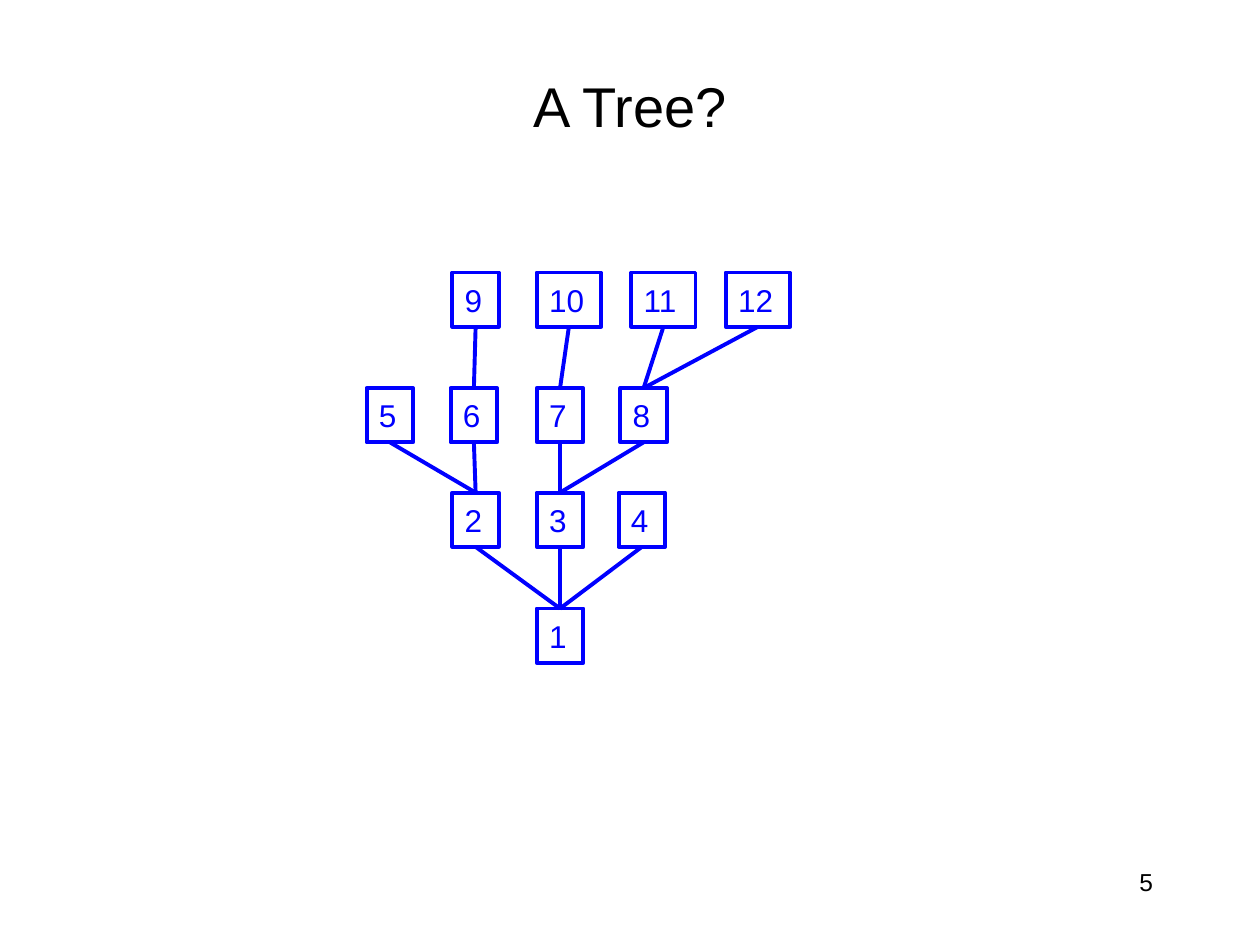
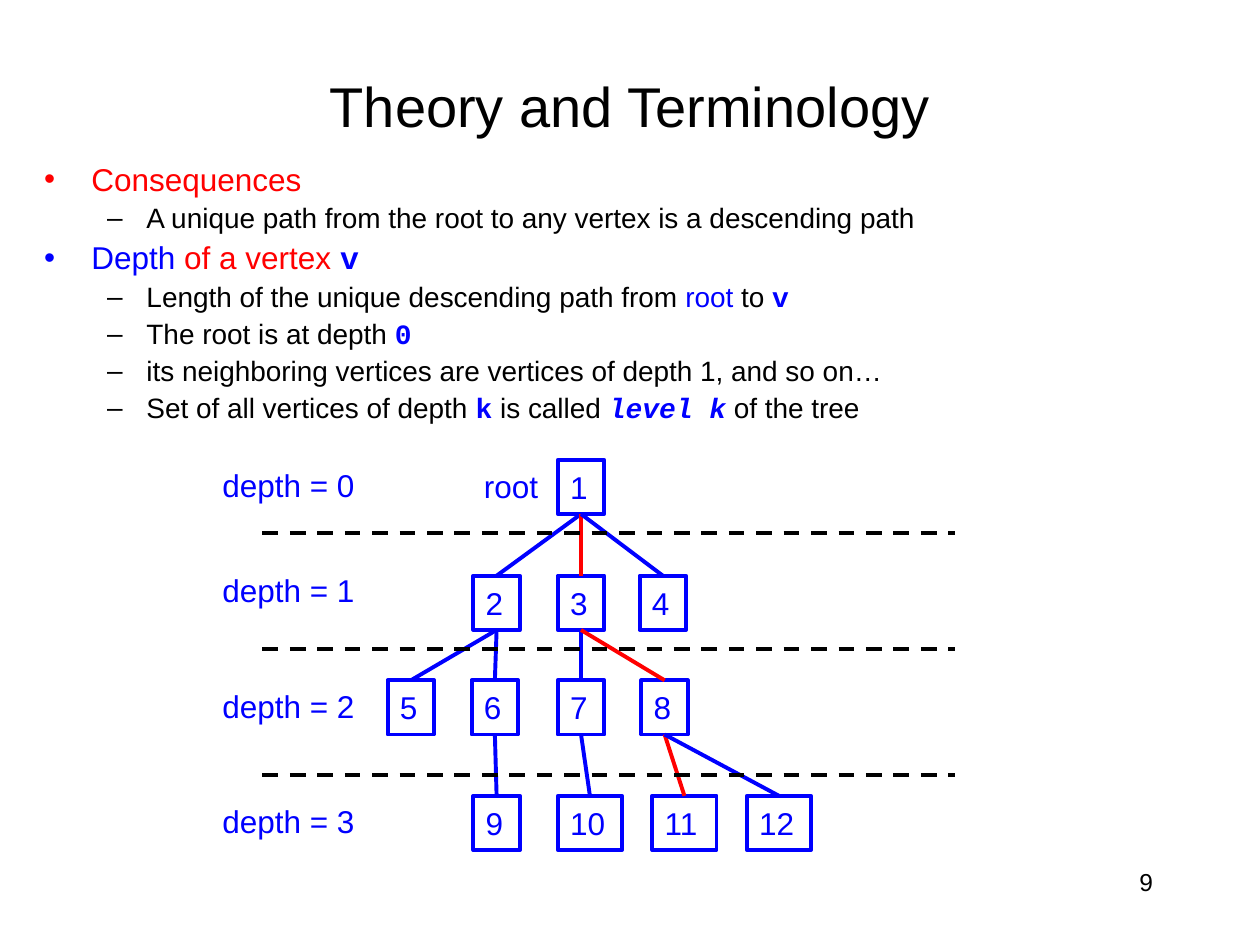
from pptx import Presentation
from pptx.dml.color import RGBColor
from pptx.enum.dml import MSO_LINE
from pptx.enum.shapes import MSO_CONNECTOR, MSO_SHAPE
from pptx.enum.text import MSO_ANCHOR, MSO_AUTO_SIZE, PP_ALIGN
from pptx.oxml.ns import qn
from pptx.util import Pt
from lxml.etree import SubElement

BLACK = RGBColor(0, 0, 0)
BLUE = RGBColor(0, 0, 255)
RED = RGBColor(255, 0, 0)
SANS = "Arial"
CODE = "Courier New"
TITLE_AND_CONTENT, TITLE_ONLY = 1, 5
LINE_WIDTH = 2.25
NODE_HEIGHT = 31
LEVEL_OFFSETS = [0, 66.25, 126, 192]
TREE_LEVELS = [
    {1: 0},
    {2: -48.25, 3: 0, 4: 46.75},
    {5: -97.25, 6: -49.25, 7: 0, 8: 47.75},
    {9: -48.25, 10: 0, 11: 54, 12: 108},
]
PARENTS = {2: 1, 3: 1, 4: 1, 5: 2, 6: 2, 7: 3, 8: 3, 9: 6, 10: 7, 11: 8, 12: 8}
INDENTS = [(27, -27), (58.5, -22.5)]
SIZES = [18, 16]

TERMINOLOGY = [
    (0, [("Consequences", RED)]),
    (1, [("A unique path from the root to any vertex is a descending path", BLACK)]),
    (0, [("Depth ", BLUE), ("of a vertex ", RED), ("v", BLUE, CODE)]),
    (1, [("Length of the unique descending path from ", BLACK), ("root", BLUE),
         (" to ", BLACK), ("v", BLUE, CODE)]),
    (1, [("The root is at depth ", BLACK), ("0", BLUE, CODE)]),
    (1, [("its neighboring vertices are vertices of depth 1, and so on…", BLACK)]),
    (1, [("Set of all vertices of depth ", BLACK), ("k", BLUE, CODE),
         (" is called ", BLACK), ("level k", BLUE, CODE, True),
         (" of the tree", BLACK)]),
]


def place(shape, left, top, width, height):
    shape.left, shape.top = Pt(left), Pt(top)
    shape.width, shape.height = Pt(width), Pt(height)


def write(shape, text, size, color, align=PP_ALIGN.LEFT):
    paragraph = shape.text_frame.paragraphs[0]
    paragraph.text = text
    paragraph.alignment = align
    paragraph.font.name = SANS
    paragraph.font.size = Pt(size)
    paragraph.font.color.rgb = color


def add_label(slide, text, left, top, width, height, size=18, color=BLUE,
              align=PP_ALIGN.LEFT, wrap=False):
    label = slide.shapes.add_textbox(Pt(left), Pt(top), Pt(width), Pt(height))
    label.text_frame.word_wrap = wrap
    write(label, text, size, color, align)


def add_titled_slide(presentation, layout, title, number):
    slide = presentation.slides.add_slide(presentation.slide_layouts[layout])
    place(slide.shapes.title, 54, 30, 612, 60)
    slide.shapes.title.text_frame.vertical_anchor = MSO_ANCHOR.MIDDLE
    write(slide.shapes.title, title, 32, BLACK, PP_ALIGN.CENTER)
    add_label(slide, str(number), 516, 492, 150, 36, 14, BLACK, PP_ALIGN.RIGHT, True)
    return slide


def add_outline(slide, entries):
    body = slide.placeholders[1]
    place(body, 18, 90, 648, 132)
    frame = body.text_frame
    frame.auto_size = MSO_AUTO_SIZE.NONE
    for index, (level, runs) in enumerate(entries):
        paragraph = frame.add_paragraph() if index else frame.paragraphs[0]
        paragraph.level = level
        paragraph.line_spacing = 0.9
        paragraph.space_before = Pt(4 if index else 0)
        margin, indent = INDENTS[level]
        properties = paragraph._p.get_or_add_pPr()
        properties.set("marL", str(Pt(margin)))
        properties.set("indent", str(Pt(indent)))
        paragraph.font.size = Pt(SIZES[level])
        for text, color, *style in runs:
            run = paragraph.add_run()
            run.text = text
            run.font.color.rgb = color
            run.font.name = style[0] if style else SANS
            if style:
                run.font.bold = True
                run.font.italic = len(style) > 1


def add_node(slide, number, left, top):
    width = 26.6 if number < 10 else 36.7
    node = slide.shapes.add_shape(MSO_SHAPE.RECTANGLE, Pt(left), Pt(top),
                                  Pt(width), Pt(NODE_HEIGHT))
    node.shadow.inherit = False
    node.fill.background()
    node.line.color.rgb = BLUE
    node.line.width = Pt(LINE_WIDTH)
    node.text_frame.word_wrap = True
    node.text_frame.vertical_anchor = MSO_ANCHOR.MIDDLE
    write(node, str(number), 18, BLUE)
    return node


def add_line(slide, color, start=(0, 0), end=(0, 0)):
    line = slide.shapes.add_connector(MSO_CONNECTOR.STRAIGHT,
                                      *map(Pt, start), *map(Pt, end))
    line.line.color.rgb = color
    line.line.width = Pt(LINE_WIDTH)
    SubElement(line._element.spPr, qn("a:effectLst"))
    return line


def add_tree(slide, root_left, root_top, direction, red_path=()):
    nodes = {}
    for offset, level in zip(LEVEL_OFFSETS, TREE_LEVELS):
        for number, shift in level.items():
            nodes[number] = add_node(slide, number, root_left + shift,
                                     root_top + direction * offset)
    parent_side, child_side = (2, 0) if direction > 0 else (0, 2)
    for child, parent in PARENTS.items():
        edge = add_line(slide, RED if child in red_path else BLUE)
        edge.begin_connect(nodes[parent], parent_side)
        edge.end_connect(nodes[child], child_side)


def add_depth_marks(slide):
    for depth, top in enumerate([263, 322.5, 389, 454.5]):
        add_label(slide, f"depth = {depth}", 120, top, 90, 29)
    for height in [304.5, 371, 442.75]:
        divider = add_line(slide, BLACK, (150, height), (546, height))
        divider.line.dash_style = MSO_LINE.DASH


def main():
    presentation = Presentation()
    presentation.slide_width, presentation.slide_height = Pt(720), Pt(540)

    slide = add_titled_slide(presentation, TITLE_ONLY, "A Tree?", 5)
    add_tree(slide, 306.75, 347.75, -1)

    slide = add_titled_slide(presentation, TITLE_AND_CONTENT,
                             "Theory and Terminology", 9)
    add_outline(slide, TERMINOLOGY)
    add_tree(slide, 318.75, 262.75, 1, red_path=(3, 8, 11))
    add_label(slide, "root", 269.5, 263.5, 45.4, 29)
    add_depth_marks(slide)

    presentation.save("out.pptx")


if __name__ == "__main__":
    main()
